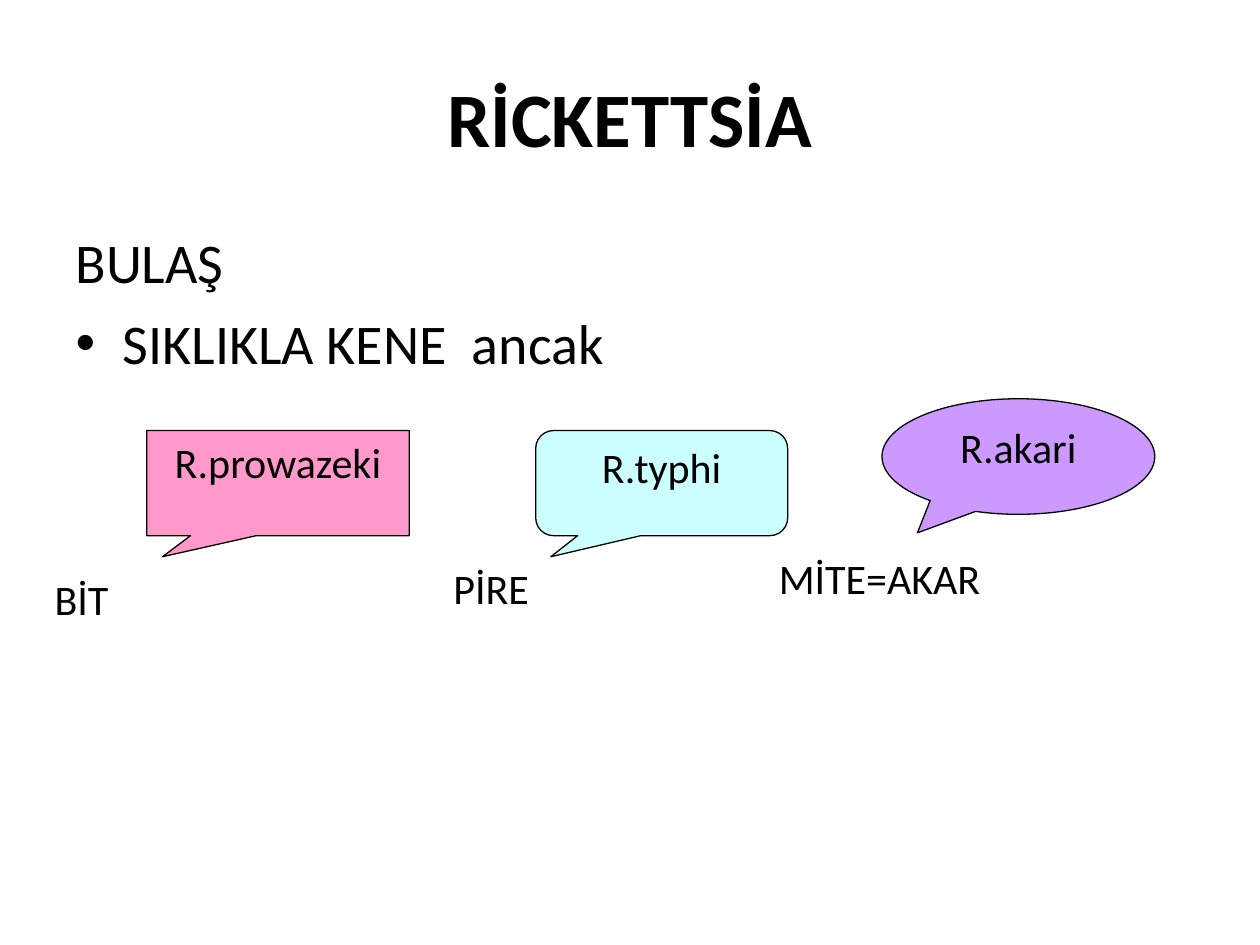
from dataclasses import dataclass

from lxml.etree import SubElement
from pptx import Presentation
from pptx.dml.color import RGBColor
from pptx.enum.shapes import MSO_SHAPE
from pptx.enum.text import MSO_ANCHOR, MSO_AUTO_SIZE, PP_ALIGN
from pptx.oxml.ns import qn
from pptx.util import Cm, Pt


@dataclass(frozen=True)
class Theme:
    font: str = "Calibri"
    ink: RGBColor = RGBColor(0x00, 0x00, 0x00)
    pink: RGBColor = RGBColor(0xFF, 0x99, 0xCC)
    aqua: RGBColor = RGBColor(0xCC, 0xFF, 0xFF)
    violet: RGBColor = RGBColor(0xCC, 0x99, 0xFF)
    title: Pt = Pt(44)
    body: Pt = Pt(32)
    label: Pt = Pt(24)
    outline: Pt = Pt(0.75)


theme = Theme()


def place(s, left, top, width, height):
    s.left, s.top, s.width, s.height = Cm(left), Cm(top), Cm(width), Cm(height)


def write(s, text, size, align=PP_ALIGN.LEFT, anchor=MSO_ANCHOR.TOP, bold=False):
    """Fill a shape with text, one paragraph per line, in the theme's font."""
    tf = s.text_frame
    tf.text = text
    tf.word_wrap = True
    tf.auto_size = MSO_AUTO_SIZE.NONE
    tf.vertical_anchor = anchor
    for p in tf.paragraphs:
        p.alignment = align
        for r in p.runs:
            r.font.name, r.font.size, r.font.bold = theme.font, size, bold
            r.font.color.rgb = theme.ink


prs = Presentation()
prs.slide_width, prs.slide_height = Cm(25.4), Cm(19.05)
slide = prs.slides.add_slide(prs.slide_layouts[1])

# Title and list
title, body = slide.placeholders
place(title, 1.27, 0.76, 22.86, 3.18)
write(title, "RİCKETTSİA", theme.title, PP_ALIGN.CENTER, MSO_ANCHOR.MIDDLE, bold=True)

place(body, 1.27, 4.45, 22.86, 12.57)
write(body, "BULAŞ\nSIKLIKLA KENE  ancak", theme.body)
heading, item = body.text_frame.paragraphs
for p, bullet in ((heading, None), (item, "•")):
    pPr = p._p.get_or_add_pPr()
    pPr.set("marL", str(Cm(0.95)))
    pPr.set("indent", str(-Cm(0.95)))
    if bullet:
        SubElement(pPr, qn("a:buChar"), char=bullet)
    else:
        SubElement(pPr, qn("a:buNone"))
heading.space_before = Pt(0)
item.space_before = Pt(8)

# Each species in a callout, with its carrier below
carriers = [
    ("R.prowazeki", MSO_SHAPE.RECTANGULAR_CALLOUT, theme.pink,
     (2.96, 8.68, 5.29, 2.12), (-0.44, 0.7), "BİT", (0.85, 11.43, 3.39, 1.27)),
    ("R.typhi", MSO_SHAPE.ROUNDED_RECTANGULAR_CALLOUT, theme.aqua,
     (10.8, 8.68, 5.08, 2.12), (-0.44, 0.7, 0.17), "PİRE", (8.89, 11.22, 3.6, 1.27)),
    ("R.akari", MSO_SHAPE.OVAL_CALLOUT, theme.violet,
     (17.78, 8.04, 5.5, 2.33), (-0.37, 0.66), "MİTE=AKAR", (15.45, 11.01, 5.5, 1.27)),
]
for species, kind, color, box, tail, carrier, label_box in carriers:
    s = slide.shapes.add_shape(kind, *map(Cm, box))
    s.shadow.inherit = False
    s.fill.solid()
    s.fill.fore_color.rgb = color
    s.line.color.rgb = theme.ink
    s.line.width = theme.outline
    for i, value in enumerate(tail):
        s.adjustments[i] = value
    write(s, species, theme.label, PP_ALIGN.CENTER)

    label = slide.shapes.add_textbox(*map(Cm, label_box))
    write(label, carrier, theme.label)

prs.save("out.pptx")
